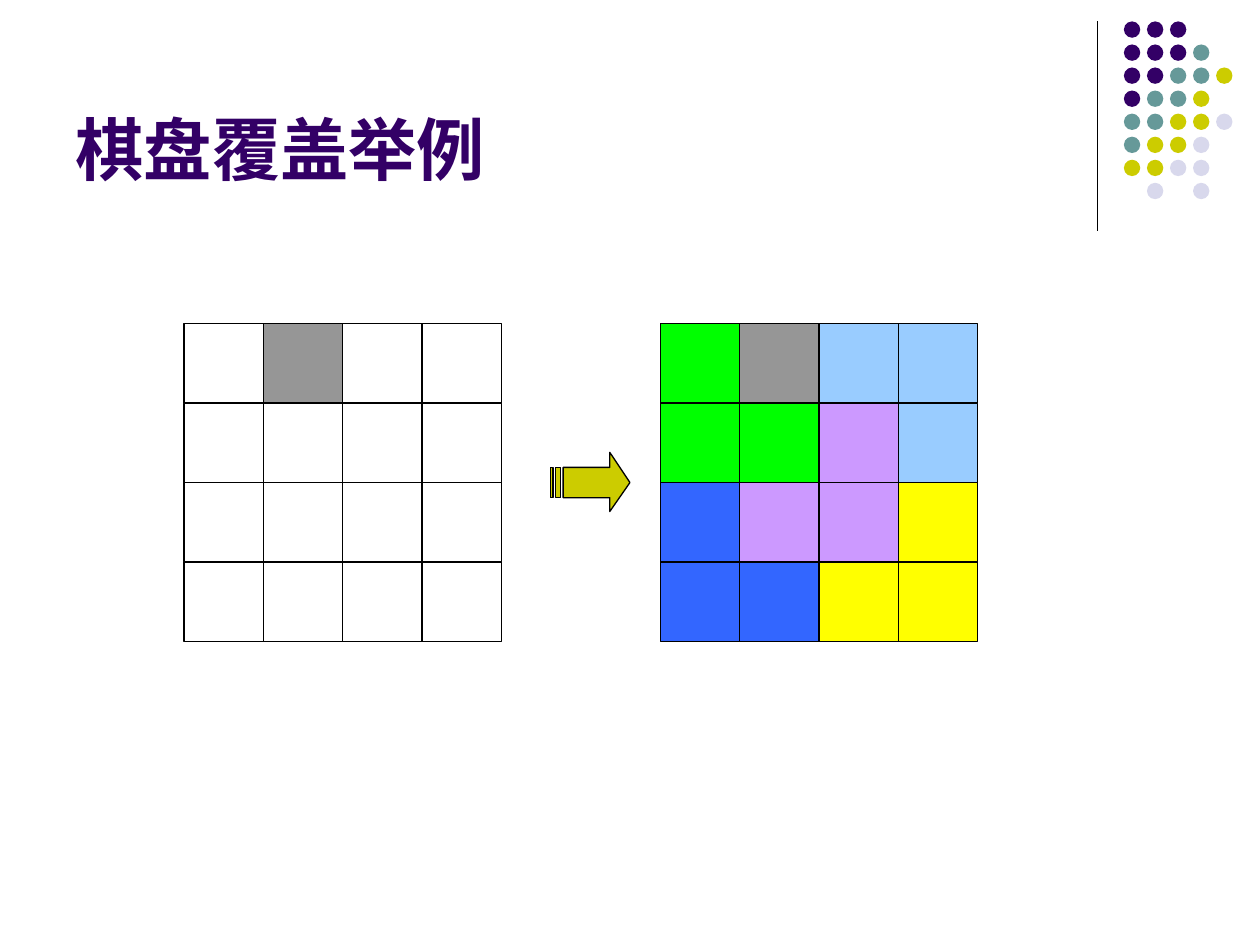
"""Build the chessboard covering example slide."""
from dataclasses import dataclass

from lxml import etree
from pptx import Presentation
from pptx.dml.color import RGBColor
from pptx.enum.shapes import MSO_CONNECTOR, MSO_SHAPE
from pptx.enum.text import MSO_ANCHOR, MSO_AUTO_SIZE, PP_ALIGN
from pptx.oxml.ns import qn
from pptx.util import Inches, Pt

RECT, OVAL = MSO_SHAPE.RECTANGLE, MSO_SHAPE.OVAL
STRAIGHT = MSO_CONNECTOR.STRAIGHT
BOTTOM, LEFT, FIXED = MSO_ANCHOR.BOTTOM, PP_ALIGN.LEFT, MSO_AUTO_SIZE.NONE
WIDE, HIGH = 10, 7.5
INK, PLUM, OLIVE = "000000", "330066", "CCCC00"
HUES = {
    "P": PLUM, "T": "669999", "O": OLIVE, "L": "D8D8EC",
    "w": "FFFFFF", "x": "969696", "g": "00FF00", "s": "99CCFF",
    "v": "CC99FF", "b": "3366FF", "y": "FFFF00",
}
UNIT = Inches(0.01)
HEAD = ((484, 359), (484, 371), (447, 371), (447, 395),
        (484, 395), (484, 406), (500, 383))
BARS = ((441, 445), (437, 439))


@dataclass(frozen=True)
class Grid:
    """A lattice of equal shapes, one letter per cell and a dot for a gap."""
    left: float
    top: float
    step: float
    size: float
    kind: int
    rows: str
    edge: str | None = None


GRIDS = (
    Grid(8.92, 0.17, 0.183, 0.13, OVAL,
         "PPP.. PPPT. PPTTO PTTO. TTOOL TOOL. OOLL. .L.L."),
    Grid(1.46, 2.57, 0.63, 0.63, RECT, "wxww wwww wwww wwww", INK),
    Grid(5.24, 2.57, 0.63, 0.63, RECT, "gxss ggvs bvvy bbyy", INK),
)


def tint(code: str) -> RGBColor:
    """Turn a hex string into a colour."""
    return RGBColor.from_string(code)


def paint(shape, fill: str, edge: str | None = None) -> None:
    """Set the fill and outline of a shape and drop its shadow."""
    shape.shadow.inherit = False
    shape.fill.solid()
    shape.fill.fore_color.rgb = tint(fill)
    if edge:
        shape.line.color.rgb = tint(edge)
        shape.line.width = Pt(0.75)
    else:
        shape.line.fill.background()


def write(frame, text: str, *, size: float, color: str, bold: bool = False,
          font: str = "Arial", align=LEFT, anchor=BOTTOM) -> None:
    """Put formatted text into a text frame."""
    frame.word_wrap, frame.auto_size = True, FIXED
    frame.vertical_anchor = anchor
    line = frame.paragraphs[0]
    line.alignment = align
    run = line.add_run()
    run.text = text
    run.font.name, run.font.size, run.font.bold = font, Pt(size), bold
    run.font.color.rgb = tint(color)


def draw_grid(slide, grid: Grid) -> None:
    """Draw every filled cell of a grid in one group."""
    group = slide.shapes.add_group_shape()
    for row, marks in enumerate(grid.rows.split()):
        for col, mark in enumerate(marks):
            if mark != ".":
                cell = group.shapes.add_shape(
                    grid.kind, Inches(grid.left + col * grid.step),
                    Inches(grid.top + row * grid.step),
                    Inches(grid.size), Inches(grid.size))
                paint(cell, HUES[mark], grid.edge)


def draw_arrow(slide) -> None:
    """Draw the striped arrow between the boards."""
    pen = slide.shapes.build_freeform(*HEAD[0], scale=UNIT)
    pen.add_line_segments(HEAD[1:], close=True)
    top, base = HEAD[2][1], HEAD[3][1]
    for near, far in BARS:
        pen.move_to(near, top)
        pen.add_line_segments(
            ((near, base), (far, base), (far, top)), close=True)
    paint(pen.convert_to_shape(), OLIVE, INK)


def draw_rule(slide, left: float, top: float, end: float) -> None:
    """Draw the upright rule beside the dots."""
    rule = slide.shapes.add_connector(
        STRAIGHT, Inches(left), Inches(top), Inches(left), Inches(end))
    rule.line.color.rgb = tint(INK)
    rule.line.width = Pt(0.75)
    etree.SubElement(rule._element.spPr, qn("a:effectLst"))


def main() -> None:
    """Build and save the slide."""
    deck = Presentation()
    deck.slide_width, deck.slide_height = Inches(WIDE), Inches(HIGH)
    slide = deck.slides.add_slide(deck.slide_layouts[5])
    title = slide.shapes.title
    title.left, title.top = Inches(WIDE * 0.05), Inches(0.13)
    title.width, title.height = Inches(8.25), Inches(1.42)
    write(title.text_frame, "棋盘覆盖举例", size=39, color=PLUM, bold=True)
    draw_rule(slide, 8.71, 0.17, 1.83)
    for grid in GRIDS:
        draw_grid(slide, grid)
    draw_arrow(slide)
    deck.save("out.pptx")


if __name__ == "__main__":
    main()
